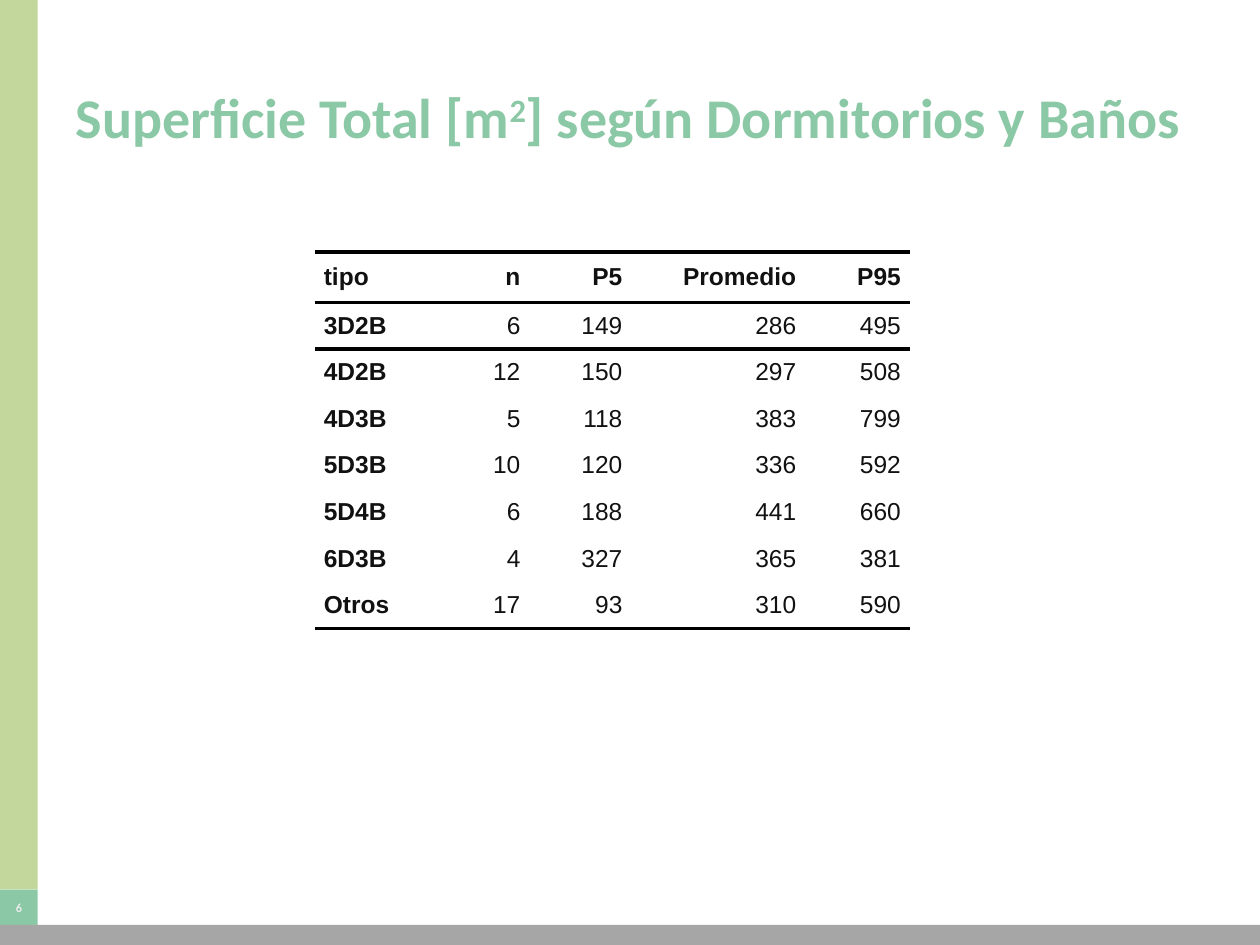
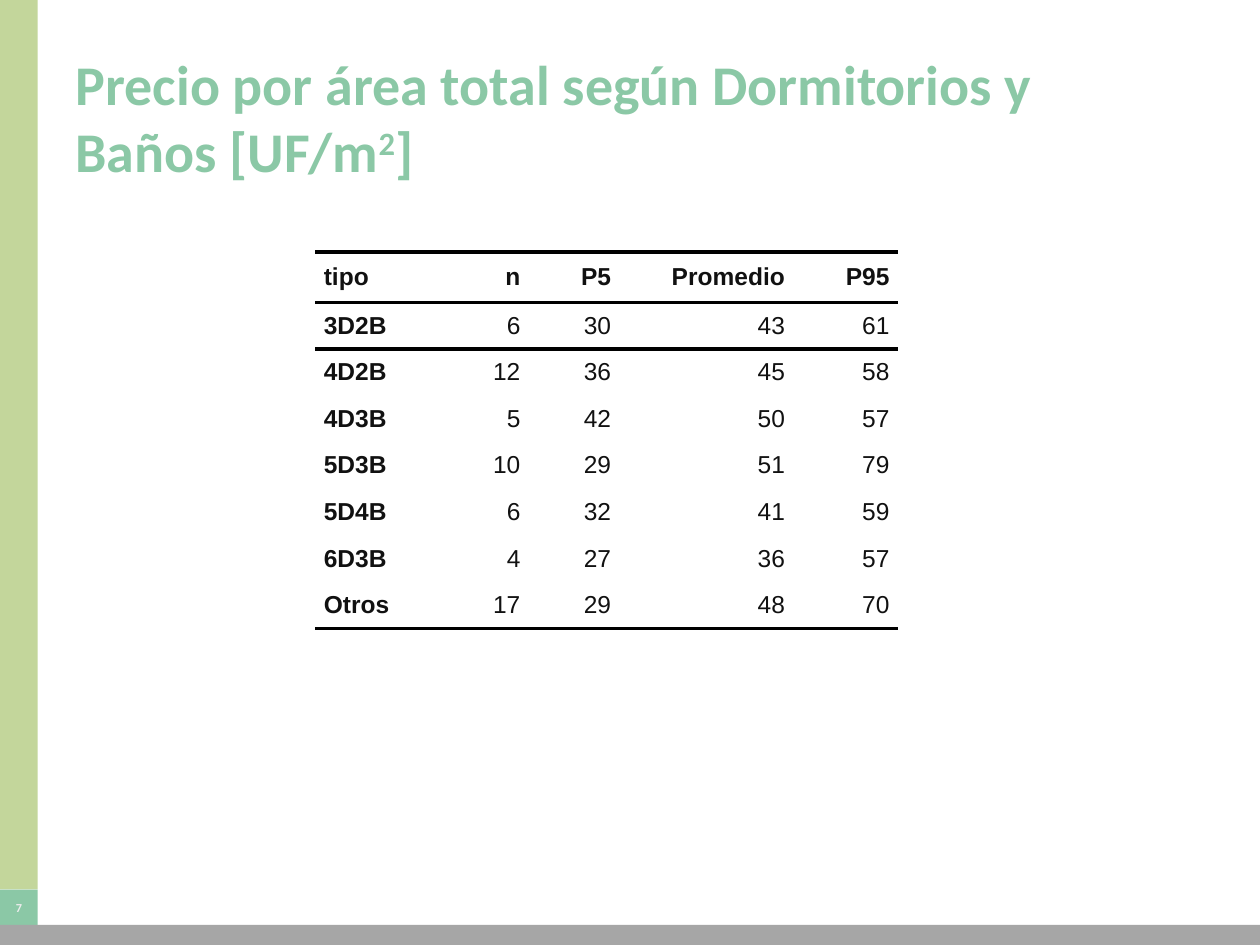
from pptx import Presentation
from pptx.dml.color import RGBColor
from pptx.enum.shapes import MSO_SHAPE
from pptx.enum.text import MSO_ANCHOR, MSO_AUTO_SIZE, PP_ALIGN
from pptx.oxml.ns import qn
from pptx.util import Inches, Pt
from lxml import etree

RECT = MSO_SHAPE.RECTANGLE
MIDDLE = MSO_ANCHOR.MIDDLE
LEFT, CENTER, RIGHT = PP_ALIGN.LEFT, PP_ALIGN.CENTER, PP_ALIGN.RIGHT

LIME = RGBColor(0xC3, 0xD6, 0x9B)
GREEN = RGBColor(0x8B, 0xC8, 0xA6)
GREY = RGBColor(0xA6, 0xA6, 0xA6)
PALE = RGBColor(0xEC, 0xEC, 0xEC)
INK = RGBColor(0x11, 0x11, 0x11)
BLACK = RGBColor(0, 0, 0)
TITLE_FONT, TABLE_FONT = "Calibri", "Arial"

HEADER = ["tipo", "n", "P5", "Promedio", "P95"]
COUNTS = [("3D2B", 6), ("4D2B", 12), ("4D3B", 5), ("5D3B", 10),
          ("5D4B", 6), ("6D3B", 4), ("Otros", 17)]

# Title parts: before the exponent, exponent, after it.
SLIDES = [
    {"title": ("Superficie Total [m", "2", "] según Dormitorios y Baños"),
     "stats": [(149, 286, 495), (150, 297, 508), (118, 383, 799),
               (120, 336, 592), (188, 441, 660), (327, 365, 381),
               (93, 310, 590)],
     "p5_width": 0.81},
    {"title": ("Precio por área total según Dormitorios y Baños [UF/m",
               "2", "]"),
     "stats": [(30, 43, 61), (36, 45, 58), (42, 50, 57), (29, 51, 79),
               (32, 41, 59), (27, 36, 57), (29, 48, 70)],
     "p5_width": 0.72},
]
FIRST_NUMBER = 6

WIDTH, HEIGHT = 10, 7.5
BAND, FOOTER = 0.3, 0.16
FOOTER_TOP = HEIGHT - FOOTER
NUMBER_TOP = FOOTER_TOP - 0.28
TABLE_LEFT, TABLE_TOP = 2.5, 2
HEADER_HEIGHT, ROW_HEIGHT = 0.4, 0.37
CELL_INDENT = Inches(0.07)
NO_STYLE = "{2D5ABB26-0587-4C30-8999-92F81FD0307C}"


def set_font(font, name, size, color, bold):
    font.name, font.size, font.bold = name, Pt(size), bold
    font.color.rgb = color


def add_band(s, x, y, w, h, color):
    band = s.shapes.add_shape(RECT, *map(Inches, (x, y, w, h)))
    band.shadow.inherit = False
    band.fill.solid()
    band.fill.fore_color.rgb = color
    band.line.fill.background()
    return band


def add_frame(s, number):
    """Side band, footer band and slide number."""
    add_band(s, 0, 0, BAND, NUMBER_TOP, LIME)
    box = add_band(s, 0, NUMBER_TOP, BAND, FOOTER_TOP - NUMBER_TOP, GREEN)
    add_band(s, 0, FOOTER_TOP, WIDTH, FOOTER, GREY)
    tf = box.text_frame
    tf.margin_left = tf.margin_right = tf.margin_top = tf.margin_bottom = 0
    tf.vertical_anchor = MIDDLE
    p = tf.paragraphs[0]
    p.text = str(number)
    p.alignment = CENTER
    set_font(p.font, TITLE_FONT, 7, PALE, True)


def set_title(s, parts):
    title = s.shapes.title
    title.left, title.top = Inches(0.5), Inches(0.3)
    title.width, title.height = Inches(9), Inches(1.25)
    tf = title.text_frame
    tf.auto_size = MSO_AUTO_SIZE.NONE
    tf.vertical_anchor = MIDDLE
    p = tf.paragraphs[0]
    p.alignment = LEFT
    set_font(p.font, TITLE_FONT, 32, GREEN, True)
    for part in parts:
        r = p.add_run()
        r.text = part
        set_font(r.font, TITLE_FONT, 32, GREEN, True)
    p.runs[1].font._element.set("baseline", "30000")


def add_rule(cell, side):
    """Black 2 pt border on one side: "T" or "B"."""
    tc_pr = cell._tc.get_or_add_tcPr()
    ln = etree.SubElement(tc_pr, qn("a:ln" + side), w=str(Pt(2)))
    fill = etree.SubElement(ln, qn("a:solidFill"))
    etree.SubElement(fill, qn("a:srgbClr"), val=str(BLACK))


def fill_cell(cell, value, bold, align, rules):
    for side in rules:
        add_rule(cell, side)
    cell.fill.background()
    cell.margin_left = cell.margin_right = 0
    cell.margin_top = cell.margin_bottom = 0
    cell.vertical_anchor = MIDDLE
    p = cell.text_frame.paragraphs[0]
    p.text = str(value)
    p.alignment = align
    p.space_before = p.space_after = Pt(2)
    p_pr = p._p.get_or_add_pPr()
    for name, indent in (("marL", CELL_INDENT), ("marR", CELL_INDENT),
                         ("indent", 0)):
        p_pr.set(name, str(indent))
    set_font(p.font, TABLE_FONT, 14, INK, bold)
    set_font(p.runs[0].font, TABLE_FONT, 14, INK, bold)


def add_stats_table(s, stats, p5_width):
    rows = [HEADER] + [(*count, *stat) for count, stat in zip(COUNTS, stats)]
    widths = [1, 0.7, p5_width, 1.38, 0.83]
    heights = [HEADER_HEIGHT] + [ROW_HEIGHT] * len(stats)
    table = s.shapes.add_table(
        len(rows), len(widths), Inches(TABLE_LEFT), Inches(TABLE_TOP),
        Inches(sum(widths)), Inches(sum(heights))).table
    table.horz_banding = False
    table._tbl.tblPr.find(qn("a:tableStyleId")).text = NO_STYLE
    for column, width in zip(table.columns, widths):
        column.width = Inches(width)
    rules = {0: "TB", 1: "T", len(rows) - 1: "B"}
    for i, (row, height) in enumerate(zip(rows, heights)):
        table.rows[i].height = Inches(height)
        for j, value in enumerate(row):
            fill_cell(table.cell(i, j), value, i == 0 or j == 0,
                      RIGHT if j else LEFT, rules.get(i, ""))


def main():
    prs = Presentation()
    prs.slide_width, prs.slide_height = Inches(WIDTH), Inches(HEIGHT)
    for number, content in enumerate(SLIDES, FIRST_NUMBER):
        s = prs.slides.add_slide(prs.slide_layouts[5])
        add_frame(s, number)
        set_title(s, content["title"])
        add_stats_table(s, content["stats"], content["p5_width"])
    prs.save("out.pptx")


if __name__ == "__main__":
    main()
